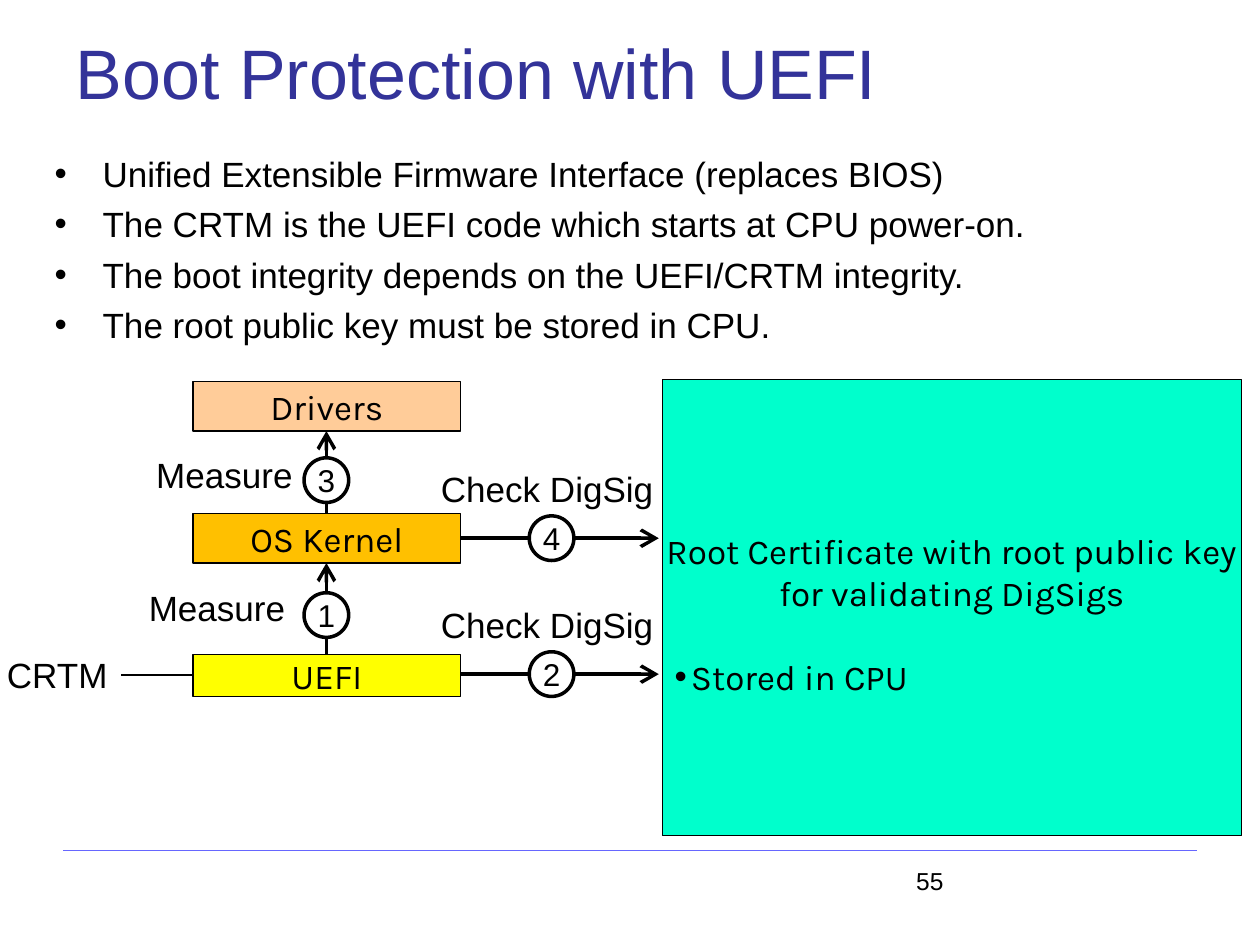
import pptx
import pptx.util
import pptx.dml.color
import pptx.enum.shapes
import pptx.enum.text
import pptx.oxml.ns
from dataclasses import dataclass
from lxml import etree
from pptx.util import Cm, Pt

ALIGN = pptx.enum.text.PP_ALIGN
ANCHOR = pptx.enum.text.MSO_ANCHOR
SHAPE = pptx.enum.shapes.MSO_SHAPE
qn = pptx.oxml.ns.qn


@dataclass(frozen=True)
class Theme:
    ink: str = "000000"
    title: str = "333399"
    rule: str = "6666FF"
    paper: str = "FFFFFF"
    uefi: str = "FFFF00"
    kernel: str = "FFC000"
    drivers: str = "FFCC99"
    certificate: str = "00FFCC"
    font: str = "Arial"
    box_font: str = "Karla"
    title_size: int = 40
    body_size: int = 20
    step_size: int = 18
    number_size: int = 14
    thin: float = 0.8
    thick: float = 2


T = Theme()


def rgb(value):
    return pptx.dml.color.RGBColor.from_string(value)


def write(p, text, size=T.body_size, font=T.font, color=T.ink,
          align=ALIGN.LEFT, before=0, bullet=None):
    """Fill a paragraph; bullet is (left margin, hanging indent) in cm."""
    if bullet:
        left, hang = bullet
        pPr = p._p.get_or_add_pPr()
        pPr.set("marL", str(Cm(left)))
        pPr.set("indent", str(-Cm(hang)))
        etree.SubElement(pPr, qn("a:buFont")).set("typeface", T.font)
        etree.SubElement(pPr, qn("a:buChar")).set("char", "•")
    p.alignment = align
    p.space_before = Pt(before)
    r = p.add_run()
    r.text = text
    r.font.name = font
    r.font.size = Pt(size)
    r.font.color.rgb = rgb(color)


def frame(sp, anchor=ANCHOR.TOP, wrap=True, top=0):
    tf = sp.text_frame
    tf.auto_size = pptx.enum.text.MSO_AUTO_SIZE.NONE
    tf.word_wrap = wrap
    tf.vertical_anchor = anchor
    tf.margin_left = tf.margin_right = tf.margin_bottom = 0
    tf.margin_top = Cm(top)
    return tf


def add_title(s, text):
    sp = s.shapes.title
    sp.left, sp.top, sp.width, sp.height = Cm(1.53), Cm(0.59), Cm(17), Cm(1.75)
    write(frame(sp).paragraphs[0], text, size=T.title_size, color=T.title)


def add_label(s, text, x, y, w, h=0.9, **fmt):
    sp = s.shapes.add_textbox(Cm(x), Cm(y), Cm(w), Cm(h))
    write(frame(sp, wrap=False).paragraphs[0], text, **fmt)


def add_bullets(s, lines):
    sp = s.shapes.add_textbox(Cm(1.07), Cm(3.07), Cm(22), Cm(4))
    tf = frame(sp)
    for i, line in enumerate(lines):
        p = tf.add_paragraph() if i else tf.paragraphs[0]
        write(p, line, before=4.8 if i else 0, bullet=(1, 0.97))


def add_solid(s, kind, x, y, w, h, fill, weight):
    sp = s.shapes.add_shape(kind, Cm(x), Cm(y), Cm(w), Cm(h))
    sp.shadow.inherit = False
    sp.fill.solid()
    sp.fill.fore_color.rgb = rgb(fill)
    sp.line.color.rgb = rgb(T.ink)
    sp.line.width = Pt(weight)
    return sp


def add_layer(s, text, y, h, fill):
    sp = add_solid(s, SHAPE.RECTANGLE, 3.89, y, 5.4, h, fill, T.thin)
    tf = frame(sp, ANCHOR.MIDDLE)
    write(tf.paragraphs[0], text, font=T.box_font, align=ALIGN.CENTER)


def add_certificate(s):
    sp = add_solid(s, SHAPE.RECTANGLE, 13.35, 7.65, 11.68, 9.2,
                   T.certificate, T.thin)
    tf = frame(sp, top=3.02)
    write(tf.paragraphs[0], "Root Certificate with root public key",
          font=T.box_font, align=ALIGN.CENTER)
    write(tf.add_paragraph(), "for validating DigSigs",
          font=T.box_font, align=ALIGN.CENTER)
    write(tf.add_paragraph(), "Stored in CPU", font=T.box_font, before=24,
          bullet=(0.58, 0.33))


def add_line(s, x1, y1, x2, y2, color=T.ink, weight=T.thin, arrow=False):
    sp = s.shapes.add_connector(pptx.enum.shapes.MSO_CONNECTOR.STRAIGHT,
                                Cm(x1), Cm(y1), Cm(x2), Cm(y2))
    sp.line.color.rgb = rgb(color)
    sp.line.width = Pt(weight)
    if arrow:
        ln = sp.line._get_or_add_ln()
        head = etree.SubElement(ln, qn("a:tailEnd"))
        for key, value in (("type", "arrow"), ("w", "lg"), ("len", "lg")):
            head.set(key, value)
    etree.SubElement(sp._element.spPr, qn("a:effectLst"))


def add_step(s, number, start, end, center):
    """Draw an arrow that carries a numbered circle."""
    add_line(s, *start, *end, weight=T.thick, arrow=True)
    d = 0.9
    x, y = center
    sp = add_solid(s, SHAPE.OVAL, x - d / 2, y - d / 2, d, d, T.paper, T.thick)
    tf = frame(sp, ANCHOR.MIDDLE, wrap=False)
    write(tf.paragraphs[0], number, size=T.step_size, align=ALIGN.CENTER)


def main():
    prs = pptx.Presentation()
    prs.slide_width, prs.slide_height = Cm(25.4), Cm(19.05)
    s = prs.slides.add_slide(prs.slide_layouts[5])

    add_line(s, 1.27, 17.15, 24.13, 17.15, color=T.rule)
    add_title(s, "Boot Protection with UEFI")
    add_bullets(s, [
        "Unified Extensible Firmware Interface (replaces BIOS)",
        "The CRTM is the UEFI code which starts at CPU power-on.",
        "The boot integrity depends on the UEFI/CRTM integrity.",
        "The root public key must be stored in CPU.",
    ])

    add_layer(s, "UEFI", 13.19, 0.85, T.uefi)
    add_layer(s, "OS Kernel", 10.35, 1, T.kernel)
    add_layer(s, "Drivers", 7.69, 1, T.drivers)
    add_certificate(s)

    mid = 6.58
    add_step(s, "1", (mid, 13.19), (mid, 11.35), (mid, 12.4))
    add_step(s, "3", (mid, 10.35), (mid, 8.69), (mid, 9.68))
    for number, y in (("2", 13.59), ("4", 10.85)):
        add_step(s, number, (9.29, y), (13.28, y), (11.12, y))
        add_label(s, "Check DigSig", 8.89, y - 1.42, 4.34)

    add_label(s, "Measure", 3, 11.82, 2.82)
    add_label(s, "Measure", 3.15, 9.15, 2.82)
    add_label(s, "CRTM", 0.14, 13.17, 2.1)
    add_line(s, 2.44, 13.61, 3.89, 13.61)
    add_label(s, "55", 18.47, 17.45, 0.7, 0.6, size=T.number_size)
    prs.save("out.pptx")


if __name__ == "__main__":
    main()
